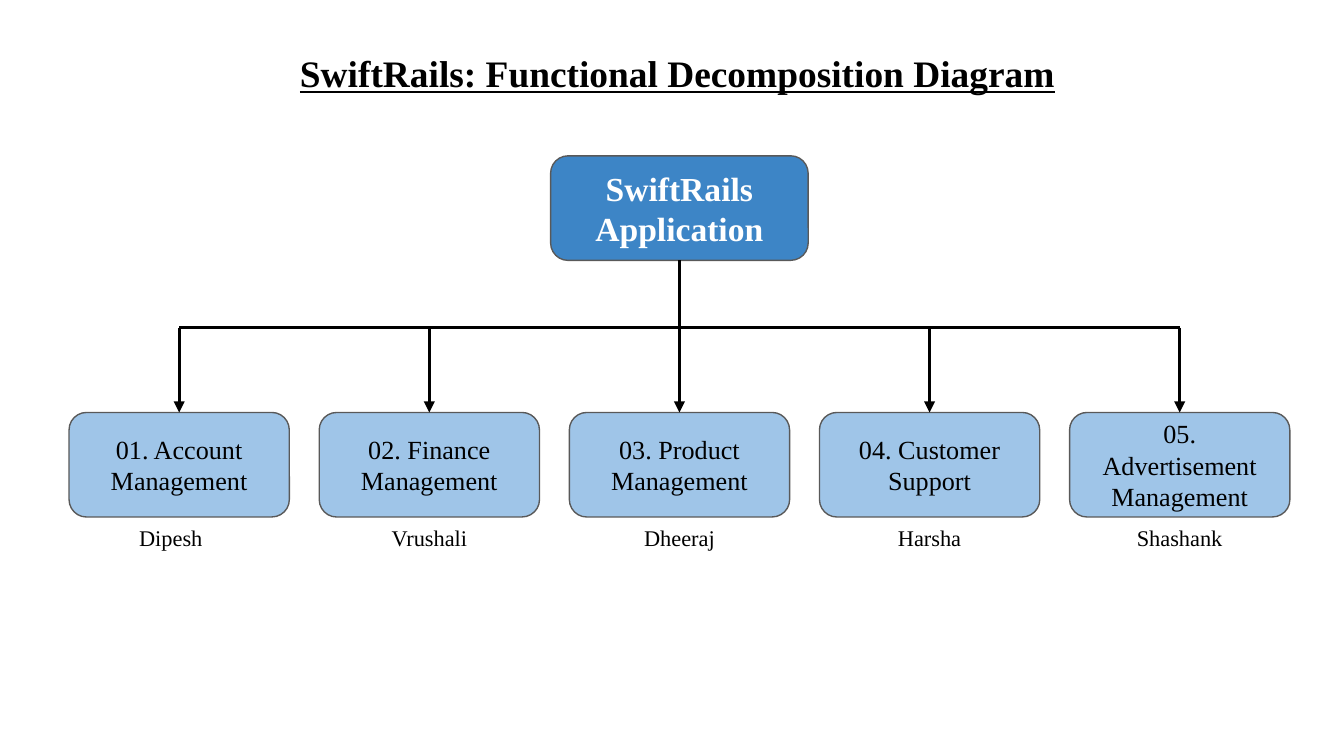
from dataclasses import dataclass

import pptx
import pptx.dml.color
import pptx.enum.shapes
import pptx.enum.text
import pptx.oxml
import pptx.oxml.ns
import pptx.util

ALIGN = pptx.enum.text.PP_ALIGN
ANCHOR = pptx.enum.text.MSO_ANCHOR
TOP, BOTTOM = 0, 2


@dataclass(frozen=True)
class Theme:
    font: str = "Times New Roman"
    ink: str = "000000"
    light: str = "FFFFFF"
    root_fill: str = "3D85C6"
    function_fill: str = "9FC5E8"
    outline: str = "595959"
    title_size: float = 20
    root_size: float = 18
    function_size: float = 14
    owner_size: float = 12
    outline_width: float = 0.75
    link_width: float = 1.5
    inset: float = 7.2


def rgb(value):
    return pptx.dml.color.RGBColor.from_string(value)


def points(*lengths):
    return [pptx.util.Pt(length) for length in lengths]


class DiagramSlide:
    def __init__(self, slide, theme):
        self.slide = slide
        self.theme = theme

    def set_text(self, frame, lines, size, color, align, anchor, bold=False, underline=False):
        inset = pptx.util.Pt(self.theme.inset)
        frame.margin_left = frame.margin_right = inset
        frame.margin_top = frame.margin_bottom = inset
        frame.vertical_anchor = anchor
        for index, line in enumerate(lines):
            paragraph = frame.add_paragraph() if index else frame.paragraphs[0]
            paragraph.alignment = align
            run = paragraph.add_run()
            run.text = line
            run.font.name = self.theme.font
            run.font.size = pptx.util.Pt(size)
            run.font.color.rgb = rgb(color)
            run.font.bold = bold
            run.font.underline = underline

    def title(self, text, left, top, width, height):
        heading = self.slide.shapes.title
        heading.left, heading.top, heading.width, heading.height = points(
            left, top, width, height)
        self.set_text(heading.text_frame, [text], self.theme.title_size, self.theme.ink,
                      ALIGN.LEFT, ANCHOR.MIDDLE, bold=True, underline=True)
        heading.text_frame.auto_size = pptx.enum.text.MSO_AUTO_SIZE.NONE
        heading.text_frame.word_wrap = False

    def box(self, lines, left, top, width, height, fill, size, color, bold=False):
        box = self.slide.shapes.add_shape(
            pptx.enum.shapes.MSO_SHAPE.ROUNDED_RECTANGLE, *points(left, top, width, height))
        box.shadow.inherit = False
        box.fill.solid()
        box.fill.fore_color.rgb = rgb(fill)
        box.line.color.rgb = rgb(self.theme.outline)
        box.line.width = pptx.util.Pt(self.theme.outline_width)
        box.text_frame.word_wrap = True
        self.set_text(box.text_frame, lines, size, color, ALIGN.CENTER, ANCHOR.MIDDLE, bold)
        return box

    def label(self, text, left, top, width, height):
        label = self.slide.shapes.add_textbox(*points(left, top, width, height))
        label.text_frame.word_wrap = True
        self.set_text(label.text_frame, [text], self.theme.owner_size, self.theme.ink,
                      ALIGN.CENTER, ANCHOR.TOP)

    def link(self, start, end, source=None, target=None):
        link = self.slide.shapes.add_connector(
            pptx.enum.shapes.MSO_CONNECTOR.STRAIGHT, *points(*start, *end))
        link.line.color.rgb = rgb(self.theme.ink)
        link.line.width = pptx.util.Pt(self.theme.link_width)
        namespace = pptx.oxml.ns.nsdecls("a")
        properties = link.element.spPr
        if source is not None:
            link.begin_connect(source, BOTTOM)
        if target is not None:
            link.end_connect(target, TOP)
            properties.get_or_add_ln().append(
                pptx.oxml.parse_xml(f'<a:tailEnd {namespace} type="triangle"/>'))
        properties.append(pptx.oxml.parse_xml(f"<a:effectLst {namespace}/>"))


FUNCTIONS = [
    ("01. Account Management", "Dipesh", -4.5),
    ("02. Finance Management", "Vrushali", 0),
    ("03. Product Management", "Dheeraj", 0),
    ("04. Customer Support", "Harsha", 0),
    ("05. Advertisement Management", "Shashank", 0),
]
BOX_HEIGHT = 56
FUNCTION_LEFT, FUNCTION_TOP, FUNCTION_WIDTH, PITCH = 37, 221, 118, 134
ROOT_TOP, ROOT_WIDTH = 83.5, 138
BUS_Y = 175.5
OWNER_TOP, OWNER_WIDTH, OWNER_HEIGHT = 273.5, 99, 23


def main():
    presentation = pptx.Presentation()
    presentation.slide_width, presentation.slide_height = points(720, 405)
    theme = Theme()
    diagram = DiagramSlide(
        presentation.slides.add_slide(presentation.slide_layouts[5]), theme)

    diagram.title("SwiftRails: Functional Decomposition Diagram", 153.5, 23, 422, 32)

    centers = [FUNCTION_LEFT + FUNCTION_WIDTH / 2 + PITCH * index
               for index in range(len(FUNCTIONS))]
    middle = len(centers) // 2
    root = diagram.box(["SwiftRails", "Application"], centers[middle] - ROOT_WIDTH / 2,
                       ROOT_TOP, ROOT_WIDTH, BOX_HEIGHT, theme.root_fill,
                       theme.root_size, theme.light, bold=True)
    diagram.link((centers[0], BUS_Y), (centers[-1], BUS_Y))

    for index, (center, (function, owner, shift)) in enumerate(zip(centers, FUNCTIONS)):
        function_box = diagram.box([function], center - FUNCTION_WIDTH / 2, FUNCTION_TOP,
                                   FUNCTION_WIDTH, BOX_HEIGHT, theme.function_fill,
                                   theme.function_size, theme.ink)
        diagram.link((center, BUS_Y), (center, FUNCTION_TOP),
                     source=root if index == middle else None, target=function_box)
        diagram.label(owner, center - OWNER_WIDTH / 2 + shift, OWNER_TOP,
                      OWNER_WIDTH, OWNER_HEIGHT)

    presentation.save("out.pptx")


if __name__ == "__main__":
    main()
